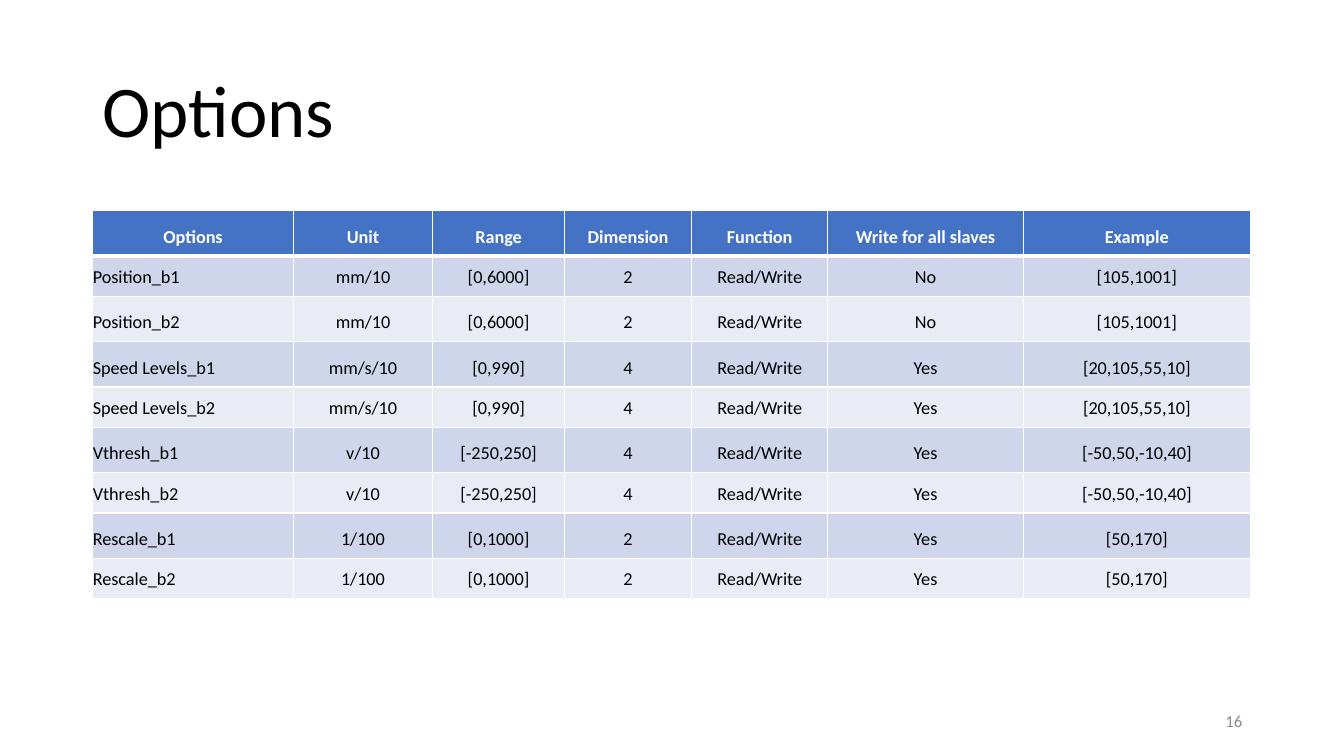
from lxml import etree
from pptx import Presentation
from pptx.dml.color import RGBColor
from pptx.enum.text import MSO_ANCHOR, PP_ALIGN
from pptx.oxml.ns import qn
from pptx.util import Inches, Pt

LEFT, CENTER, RIGHT = PP_ALIGN.LEFT, PP_ALIGN.CENTER, PP_ALIGN.RIGHT
MIDDLE, BOTTOM = MSO_ANCHOR.MIDDLE, MSO_ANCHOR.BOTTOM

BLACK = RGBColor(0x00, 0x00, 0x00)
WHITE = RGBColor(0xFF, 0xFF, 0xFF)
GRAY = RGBColor(0x8C, 0x8C, 0x8C)
HEADER_BLUE = RGBColor(0x44, 0x72, 0xC4)
BANDS = (RGBColor(0xCF, 0xD5, 0xEA), RGBColor(0xE9, 0xEB, 0xF5))

FONT = "Calibri"
COLUMN_WIDTHS = (1.99, 1.38, 1.31, 1.26, 1.35, 1.94, 2.25)
TALL, SHORT = 0.45, 0.4
ROW_HEIGHTS = (TALL, SHORT, TALL, TALL, SHORT, TALL, SHORT, TALL, SHORT)

HEADER = ("Options", "Unit", "Range", "Dimension", "Function",
          "Write for all slaves", "Example")
# Each option exists once for b1 and once for b2
OPTIONS = (
    ("Position", "mm/10", "[0,6000]", "2", "Read/Write", "No", "[105,1001]"),
    ("Speed Levels", "mm/s/10", "[0,990]", "4", "Read/Write", "Yes", "[20,105,55,10]"),
    ("Vthresh", "v/10", "[-250,250]", "4", "Read/Write", "Yes", "[-50,50,-10,40]"),
    ("Rescale", "1/100", "[0,1000]", "2", "Read/Write", "Yes", "[50,170]"),
)


def set_attributes(target, values):
    for name, value in values.items():
        setattr(target, name, value)


def write_text(paragraph, text, size, color, alignment, bold=False):
    paragraph.alignment = alignment
    run = paragraph.add_run()
    run.text = text
    set_attributes(run.font, {"name": FONT, "size": Pt(size), "bold": bold})
    run.font.color.rgb = color


def add_text(slide, box, text, size, color, alignment, spacing):
    shape = slide.shapes.add_textbox(*map(Inches, box))
    set_attributes(shape.text_frame, {"word_wrap": True, "vertical_anchor": MIDDLE})
    paragraph = shape.text_frame.paragraphs[0]
    set_attributes(paragraph, spacing)
    write_text(paragraph, text, size, color, alignment)


def set_borders(cell, widths):
    """Draw white borders; the lines must come before the fill in tcPr."""
    properties = cell._tc.get_or_add_tcPr()
    for index, (side, width) in enumerate(widths.items()):
        line = etree.Element(qn(f"a:ln{side}"), w=str(Pt(width)))
        fill = etree.SubElement(line, qn("a:solidFill"))
        etree.SubElement(fill, qn("a:srgbClr"), val=str(WHITE))
        properties.insert(index, line)


def fill_cell(cell, text, row, column):
    is_header = row == 0
    set_attributes(cell, {
        "margin_left": 0, "margin_right": 0,
        "margin_top": Inches(0.08), "margin_bottom": Inches(0.08),
        "vertical_anchor": BOTTOM,
    })
    cell.fill.solid()
    cell.fill.fore_color.rgb = HEADER_BLUE if is_header else BANDS[(row - 1) % 2]
    alignment = CENTER if is_header or column > 0 else LEFT
    write_text(cell.text_frame.paragraphs[0], text, 13,
               WHITE if is_header else BLACK, alignment, bold=is_header)
    set_borders(cell, {"L": 1, "R": 1, "T": 3 if row == 1 else 1,
                       "B": 3 if is_header else 1})


def add_options_table(slide, left, top):
    rows = [HEADER] + [(f"{name}_{suffix}", *values)
                       for name, *values in OPTIONS for suffix in ("b1", "b2")]
    frame = slide.shapes.add_table(
        len(rows), len(HEADER), Inches(left), Inches(top),
        Inches(sum(COLUMN_WIDTHS)), Inches(sum(ROW_HEIGHTS)))
    table = frame.table
    for column, width in zip(table.columns, COLUMN_WIDTHS):
        column.width = Inches(width)
    for row, height in zip(table.rows, ROW_HEIGHTS):
        row.height = Inches(height)
    for row, texts in enumerate(rows):
        for column, text in enumerate(texts):
            fill_cell(table.cell(row, column), text, row, column)


def main():
    presentation = Presentation()
    set_attributes(presentation, {"slide_width": Inches(13.33),
                                  "slide_height": Inches(7.5)})
    slide = presentation.slides.add_slide(presentation.slide_layouts[6])

    # Title
    add_text(slide, (0.92, 0.31, 11.5, 1.65), "Options", 52, BLACK, LEFT,
             {"line_spacing": 0.9})
    # Table of options
    add_options_table(slide, 0.92, 2.09)
    # Slide number
    add_text(slide, (9.42, 6.95, 3, 0.4), "16", 12, GRAY, RIGHT,
             {"space_after": Pt(6)})

    presentation.save("out.pptx")


if __name__ == "__main__":
    main()
